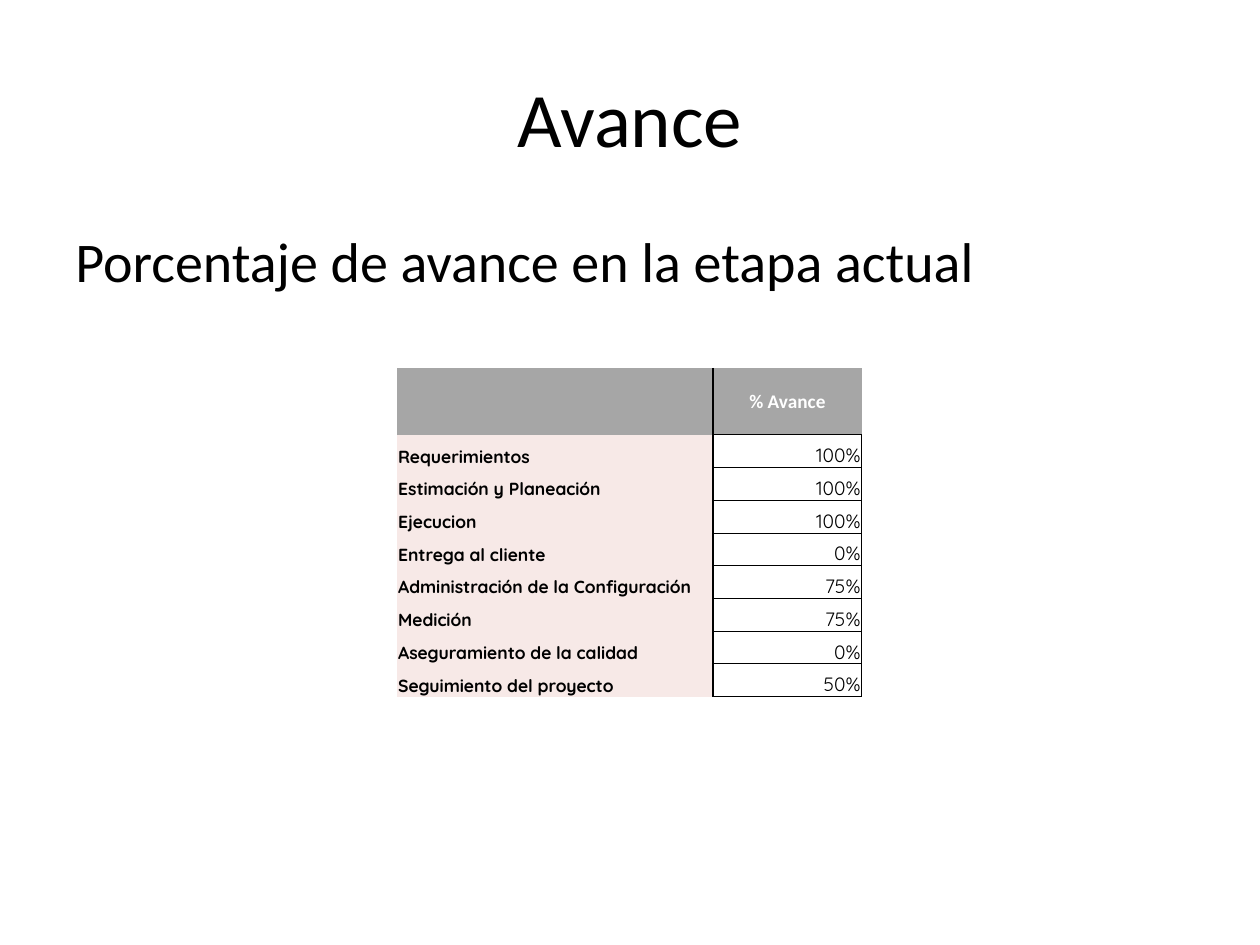
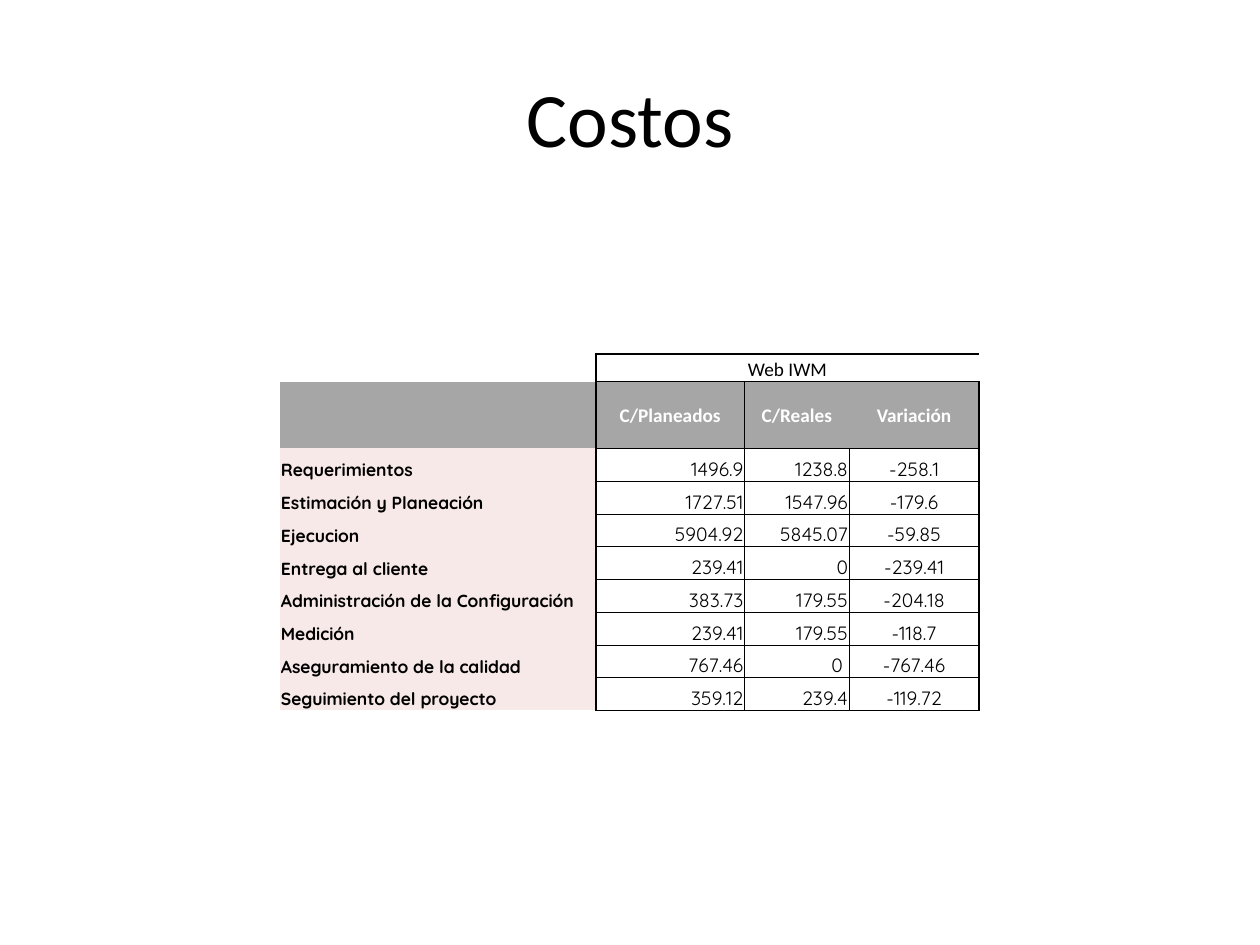
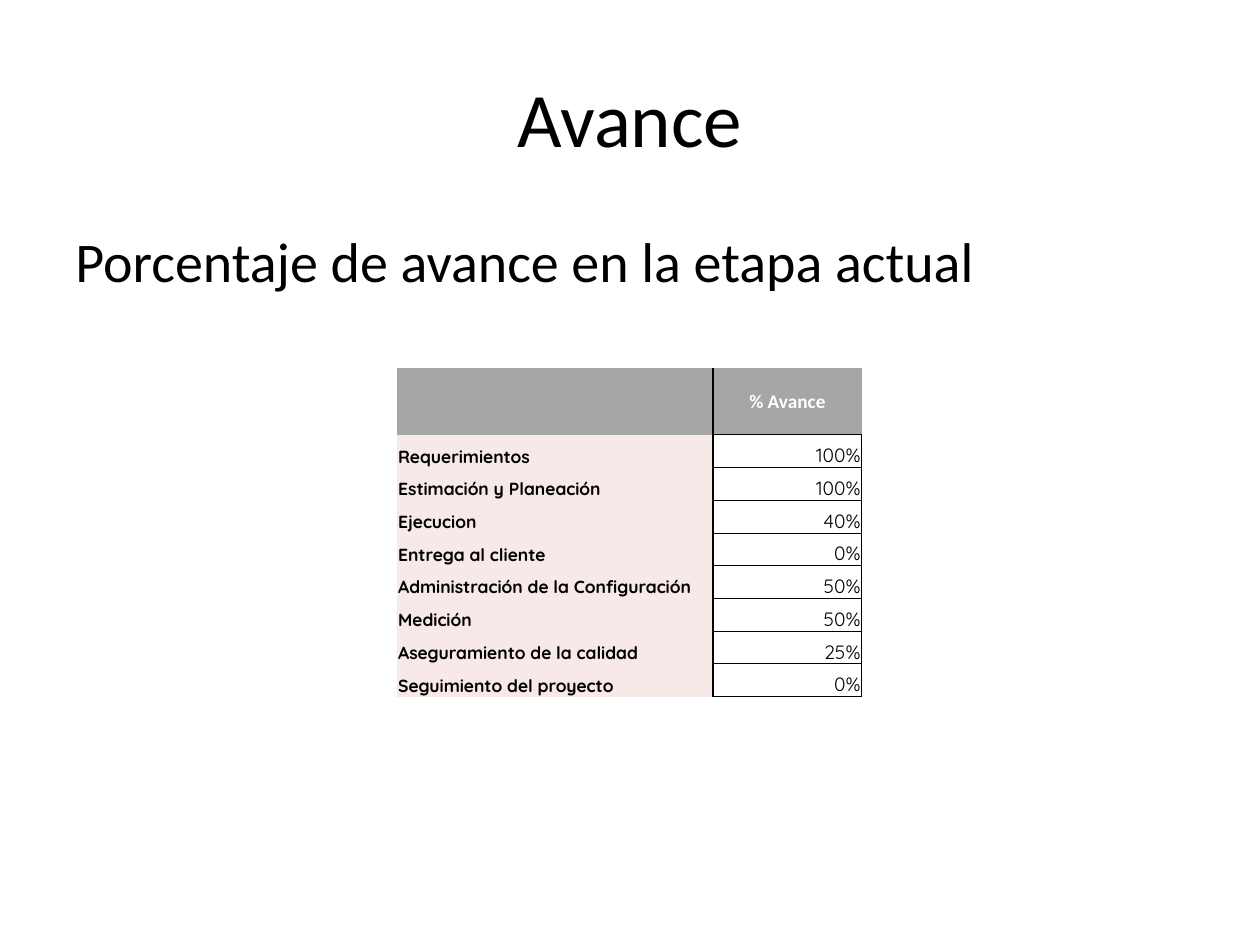
from dataclasses import dataclass
from lxml import etree
from pptx import Presentation
from pptx.dml.color import RGBColor
from pptx.enum.text import MSO_ANCHOR, PP_ALIGN
from pptx.oxml.ns import qn
from pptx.util import Inches, Pt

LEFT, CENTER, RIGHT = PP_ALIGN.LEFT, PP_ALIGN.CENTER, PP_ALIGN.RIGHT
TOP, MIDDLE, BOTTOM = MSO_ANCHOR.TOP, MSO_ANCHOR.MIDDLE, MSO_ANCHOR.BOTTOM
NO_STYLE = "{2D5ABB26-0587-4C30-8999-92F81FD0307C}"


@dataclass(frozen=True)
class Theme:
    """Fonts, colours, type sizes and line widths."""
    main: str = "Calibri"
    data: str = "Quicksand"
    ink: str = "000000"
    white: str = "FFFFFF"
    gray: str = "A6A6A6"
    pink: str = "F7E9E7"
    title: int = 44
    lead: int = 32
    cell: int = 11
    label: int = 10
    thin: float = 0.5
    thick: float = 1


T = Theme()

LEAD = "Porcentaje de avance en la etapa actual"
STAGES = ["Requerimientos", "Estimación y Planeación", "Ejecucion",
          "Entrega al cliente", "Administración de la Configuración",
          "Medición", "Aseguramiento de la calidad",
          "Seguimiento del proyecto"]
COSTS = [
    ("1496.9", "1238.8", "-258.1"),
    ("1727.51", "1547.96", "-179.6"),
    ("5904.92", "5845.07", "-59.85"),
    ("239.41", "0", "-239.41"),
    ("383.73", "179.55", "-204.18"),
    ("239.41", "179.55", "-118.7"),
    ("767.46", "0\u00a0", "-767.46"),
    ("359.12", "239.4", "-119.72"),
]


def rates(*values):
    """Describe a progress slide with one percentage per stage."""
    return dict(title="Avance", lead=LEAD, group=None, at=(3.15, 2.92),
                cols=[2.51, 1.18], heads=["% Avance"], aligns=[RIGHT],
                data=[(f"{v}%",) for v in values], side=T.thin, bold=())


SLIDES = [
    rates(100, 100, 100, 0, 75, 75, 0, 50),
    dict(title="Costos", lead=None, group="Web IWM", at=(2.22, 2.81),
         cols=[2.51, 1.18, 0.83, 1.03],
         heads=["C/Planeados", "C/Reales", "Variación"],
         aligns=[RIGHT, RIGHT, CENTER], data=COSTS, side=T.thick,
         bold=("Entrega al cliente", "Medición")),
    rates(100, 100, 40, 0, 50, 50, 25, 0),
]
GROUP_H, HEAD_H, ROW_H = 0.22, 0.53, 0.26


def style(para, text, size, font=T.main, color=T.ink, bold=False, align=LEFT):
    """Fill one paragraph and set its font."""
    para.text = text
    para.alignment = align
    para.font.name, para.font.size, para.font.bold = font, Pt(size), bold
    para.font.color.rgb = RGBColor.from_string(color)


def add_text(slide, box, text, size, anchor, align):
    """Add a wrapped text box."""
    frame = slide.shapes.add_textbox(*map(Inches, box)).text_frame
    frame.word_wrap = True
    frame.vertical_anchor = anchor
    style(frame.paragraphs[0], text, size, align=align)


def set_edge(cell, tag, width):
    """Draw one border of a cell, if it has a width."""
    if not width:
        return
    line = etree.SubElement(cell._tc.get_or_add_tcPr(), qn(f"a:{tag}"),
                            w=str(Pt(width)))
    fill = etree.SubElement(line, qn("a:solidFill"))
    etree.SubElement(fill, qn("a:srgbClr"), val=T.ink)


def upright(spec, kind, stage, edge):
    """Return the width of the vertical line at a column edge."""
    if edge == 0:
        return 0
    if edge == 1:
        return T.thick
    if edge == len(spec["cols"]):
        return spec["side"] if kind == "body" or spec["group"] else 0
    if kind != "body":
        return 0
    return T.thick if edge == 2 and stage in spec["bold"] else T.thin


def level(spec, edge, count, col):
    """Return the width of the horizontal line at a row edge."""
    if col == 0:
        return 0
    if edge == count:
        return T.thick
    if spec["group"]:
        return T.thick if edge < 2 else T.thin
    return T.thin if edge else 0


def look(spec, kind, col):
    """Return the fill, anchor and text style of a cell."""
    if kind == "group":
        return None, BOTTOM, dict(size=T.cell, align=CENTER)
    if kind == "head":
        return T.gray, MIDDLE, dict(size=T.cell, color=T.white, bold=True,
                                    align=CENTER)
    if col == 0:
        return T.pink, BOTTOM, dict(size=T.label, font=T.data, bold=True)
    return None, BOTTOM, dict(size=T.cell, font=T.data,
                              align=spec["aligns"][col - 1])


def add_grid(slide, spec):
    """Add the table of stages."""
    cols = spec["cols"]
    rows = [("head", HEAD_H, ["", *spec["heads"]])]
    if spec["group"]:
        blank = [""] * (len(cols) - 2)
        rows.insert(0, ("group", GROUP_H, ["", spec["group"], *blank]))
    rows += [("body", ROW_H, [stage, *vals])
             for stage, vals in zip(STAGES, spec["data"])]
    size = sum(cols), sum(height for _, height, _ in rows)
    table = slide.shapes.add_table(
        len(rows), len(cols), *map(Inches, (*spec["at"], *size))).table
    table.first_row = table.horz_banding = False
    table._tbl.tblPr.find(qn("a:tableStyleId")).text = NO_STYLE
    for col, width in zip(table.columns, cols):
        col.width = Inches(width)
    for r, (kind, height, texts) in enumerate(rows):
        table.rows[r].height = Inches(height)
        for c, text in enumerate(texts):
            cell = table.cell(r, c)
            fill, anchor, font = look(spec, kind, c)
            style(cell.text_frame.paragraphs[0], text, **font)
            cell.vertical_anchor = anchor
            cell.margin_left = cell.margin_right = Inches(0.01)
            cell.margin_top, cell.margin_bottom = Inches(0.01), 0
            set_edge(cell, "lnL", upright(spec, kind, texts[0], c))
            set_edge(cell, "lnR", upright(spec, kind, texts[0], c + 1))
            set_edge(cell, "lnT", level(spec, r, len(rows), c))
            set_edge(cell, "lnB", level(spec, r + 1, len(rows), c))
            if fill:
                cell.fill.solid()
                cell.fill.fore_color.rgb = RGBColor.from_string(fill)
            else:
                cell.fill.background()
    if spec["group"]:
        table.cell(0, 1).merge(table.cell(0, len(cols) - 1))


def main():
    """Build and save the slides."""
    deck = Presentation()
    deck.slide_width, deck.slide_height = Inches(10), Inches(7.5)
    for spec in SLIDES:
        slide = deck.slides.add_slide(deck.slide_layouts[6])
        add_text(slide, (0.5, 0.3, 9, 1.25), spec["title"], T.title,
                 MIDDLE, CENTER)
        if spec["lead"]:
            add_text(slide, (0.5, 1.75, 9, 4.95), spec["lead"], T.lead,
                     TOP, LEFT)
        add_grid(slide, spec)
    deck.save("out.pptx")


main()
